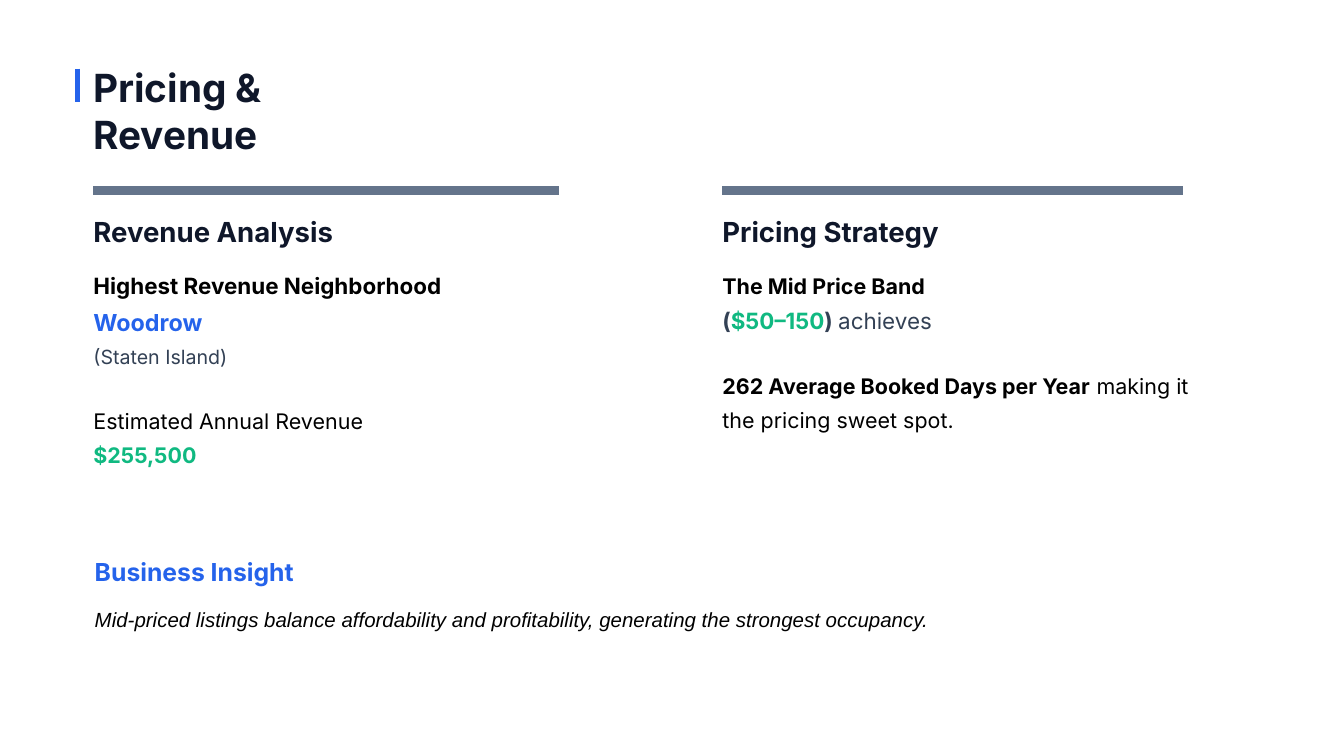
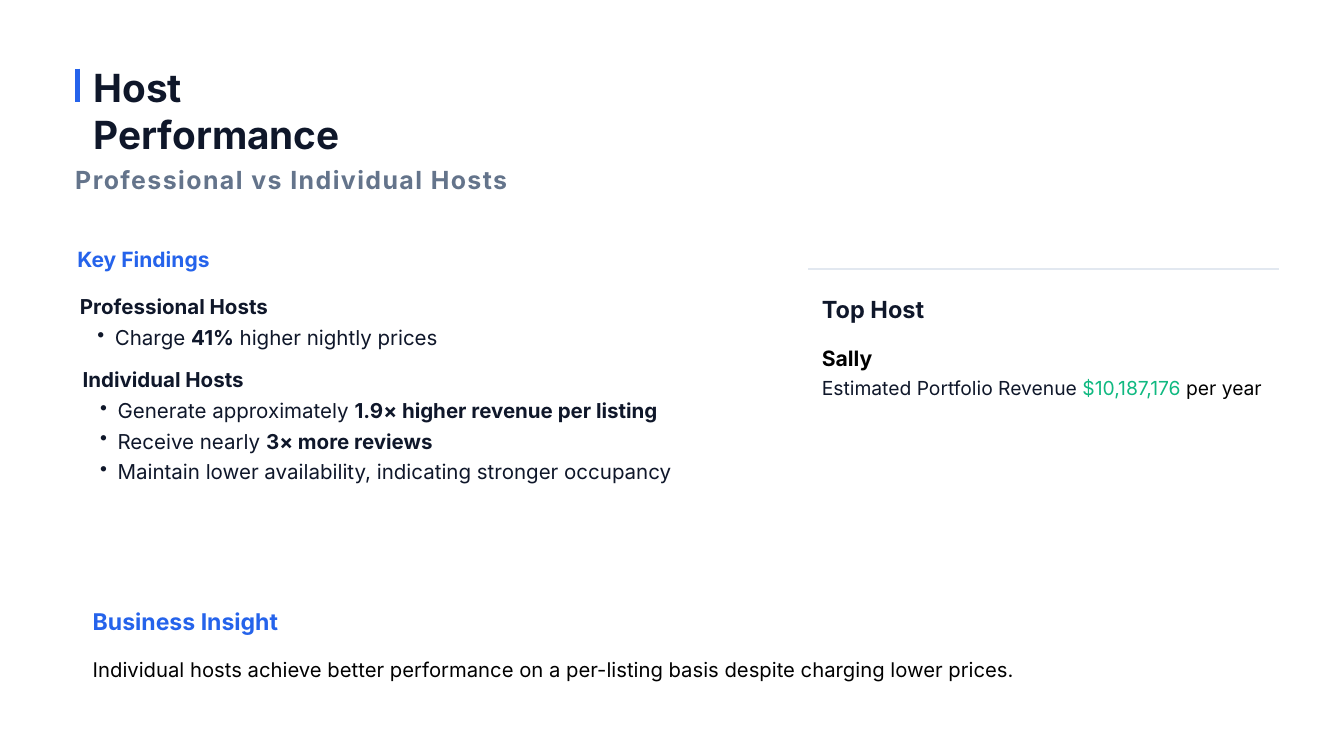
from lxml import etree
from pptx import Presentation
from pptx.dml.color import RGBColor
from pptx.enum.shapes import MSO_CONNECTOR
from pptx.enum.text import MSO_AUTO_SIZE
from pptx.oxml.ns import qn
from pptx.util import Inches, Pt

STRAIGHT = MSO_CONNECTOR.STRAIGHT
GROW = MSO_AUTO_SIZE.SHAPE_TO_FIT_TEXT
BLANK = 6

COLORS = {
    "white": "FFFFFF",
    "ink": "0F172A",
    "black": "000000",
    "slate": "334155",
    "gray": "64748B",
    "rule": "E2E8F0",
    "blue": "2563EB",
    "green": "10B981",
}


def color(name):
    return RGBColor.from_string(COLORS[name])


def para(size, spacing, *runs, before=0, bullet=False):
    """Describe a paragraph; each run is (text, colour, bold)."""
    return {"size": size, "spacing": spacing, "runs": runs,
            "before": before, "bullet": bullet}


def add_bullet(p):
    p.level = 1
    pPr = p._p.get_or_add_pPr()
    pPr.set("marL", str(Inches(0.52)))
    pPr.set("indent", str(Inches(-0.26)))
    etree.SubElement(pPr, qn("a:buChar")).set("char", "•")


def add_text(s, box, *paras, font="Inter", italic=None, tracking=None):
    tf = s.shapes.add_textbox(*map(Inches, box)).text_frame
    tf.margin_left = tf.margin_top = tf.margin_right = tf.margin_bottom = 0
    tf.word_wrap = True
    tf.auto_size = GROW
    for i, item in enumerate(paras):
        p = tf.add_paragraph() if i else tf.paragraphs[0]
        if item["bullet"]:
            add_bullet(p)
        p.line_spacing = Pt(item["spacing"])
        if item["before"]:
            p.space_before = Pt(item["before"])
        for text, shade, bold in item["runs"]:
            r = p.add_run()
            r.text = text
            r.font.name = font
            r.font.size = Pt(item["size"])
            r.font.bold = bold
            r.font.italic = italic
            r.font.color.rgb = color(shade)
            if tracking:
                r._r.get_or_add_rPr().set("spc", str(int(tracking * 100)))


def add_line(s, x1, y1, x2, y2, shade, width):
    line = s.shapes.add_connector(STRAIGHT, *map(Inches, (x1, y1, x2, y2)))
    line.line.color.rgb = color(shade)
    line.line.width = Pt(width)
    etree.SubElement(line._element.spPr, qn("a:effectLst"))


def new_slide(prs, title):
    """Add a white slide with the blue accent bar and the title."""
    s = prs.slides.add_slide(prs.slide_layouts[BLANK])
    s.background.fill.solid()
    s.background.fill.fore_color.rgb = color("white")
    add_line(s, 1.15, 1.02, 1.15, 1.52, "blue", 5.25)
    add_text(s, (1.39, 0.95, 5.05, 0.68), para(41.5, 49.8, (title, "ink", True)))
    return s


def add_column(s, left, top, width, heading, body_box, *body):
    """Thick rule, heading and body; body_box is (offset, width, height)."""
    add_line(s, left, top, left + width, top, "gray", 10)
    add_text(s, (left, top + 0.37, width, 0.49),
             para(29.5, 35.4, (heading, "ink", True)))
    offset, body_width, height = body_box
    add_text(s, (left, top + offset, body_width, height), *body)


def add_insight(s, box, heading_size, heading_spacing, gap, text, size, spacing, **style):
    left, top, width, height = box
    add_text(s, (left, top, 7.11, 0.49),
             para(heading_size, heading_spacing, ("Business Insight", "blue", True)))
    add_text(s, (left, top + gap, width, height - gap),
             para(size, spacing, (text, "black", False)), **style)


def add_findings(s, left, top):
    """Key Findings heading with a bulleted list for each host type."""
    add_text(s, (left, top, 17.25, 0.45),
             para(22.5, 33.8, ("Key Findings", "blue", True)))
    groups = [
        ("Professional Hosts", (0.04, 0.71, 7.22, 1.3), [
            [("Charge ", False), ("41%", True), (" higher nightly prices", False)]]),
        ("Individual Hosts", (0.08, 1.79, 9.69, 2.19), [
            [("Generate approximately ", False), ("1.9× higher revenue per listing", True)],
            [("Receive nearly ", False), ("3× more reviews", True)],
            [("Maintain lower availability, indicating stronger occupancy", False)]]),
    ]
    for name, (dx, dy, width, height), points in groups:
        bullets = [para(22, 33, *((text, "ink", bold) for text, bold in point), bullet=True)
                   for point in points]
        add_text(s, (left + dx, top + dy, width, height),
                 para(22, 33, (name, "ink", True)), *bullets)


def add_top_host(s, left, top, width):
    add_line(s, left, top, left + width, top, "rule", 2)
    add_text(s, (left + 0.2, top + 0.29, 4.33, 0.47),
             para(25.2, 37.9, ("Top Host", "ink", True)))
    add_text(s, (left + 0.2, top + 1.04, 6.62, 1.29),
             para(22.7, 34.1, ("Sally", "black", True)),
             para(20.7, 31.1, ("Estimated Portfolio Revenue ", "ink", False),
                  ("$10,187,176 ", "green", False), ("per year", "black", False)))


def pricing_slide(prs):
    s = new_slide(prs, "Pricing & Revenue")
    add_column(s, 1.39, 2.83, 6.93, "Revenue Analysis", (1.09, 7.17, 3.45),
               para(24, 38.4, ("Highest Revenue Neighborhood", "black", True)),
               para(25, 40, ("Woodrow", "blue", True)),
               para(21, 33.6, ("(Staten Island)", "slate", False)),
               para(23, 36.8, ("Estimated Annual Revenue", "black", False), before=33.6),
               para(23, 36.8, ("$255,500", "green", True)))
    add_column(s, 10.75, 2.83, 6.85, "Pricing Strategy", (1.1, 7.08, 3.35),
               para(23, 36.8, ("The Mid Price Band", "black", True)),
               para(24, 38.4, ("(", "slate", True), ("$50–150", "green", True),
                    (") ", "slate", True), ("achieves", "slate", False)),
               para(23, 36.8, ("262 Average Booked Days per Year", "black", True),
                    (" making it the pricing sweet spot.", "black", False), before=32))
    add_insight(s, (1.41, 8.17, 15.75, 1.62), 26.5, 39.7, 0.77,
                "Mid-priced listings balance affordability and profitability, "
                "generating the strongest occupancy.",
                21.9, 32.8, font="Arial", italic=True)


def host_slide(prs):
    s = new_slide(prs, "Host Performance")
    add_text(s, (1.12, 2.33, 7.74, 0.53),
             para(26.7, 40.1, ("Professional vs Individual Hosts", "gray", True)),
             tracking=1.5)
    add_findings(s, 1.15, 3.58)
    add_top_host(s, 12.03, 4, 7.01)
    add_insight(s, (1.38, 8.94, 15.57, 1.17), 24.7, 37.1, 0.75,
                "Individual hosts achieve better performance on a per-listing basis "
                "despite charging lower prices.", 21.7, 32.6)


def main():
    prs = Presentation()
    prs.slide_width, prs.slide_height = Inches(20), Inches(11.25)
    pricing_slide(prs)
    host_slide(prs)
    prs.save("out.pptx")


if __name__ == "__main__":
    main()
